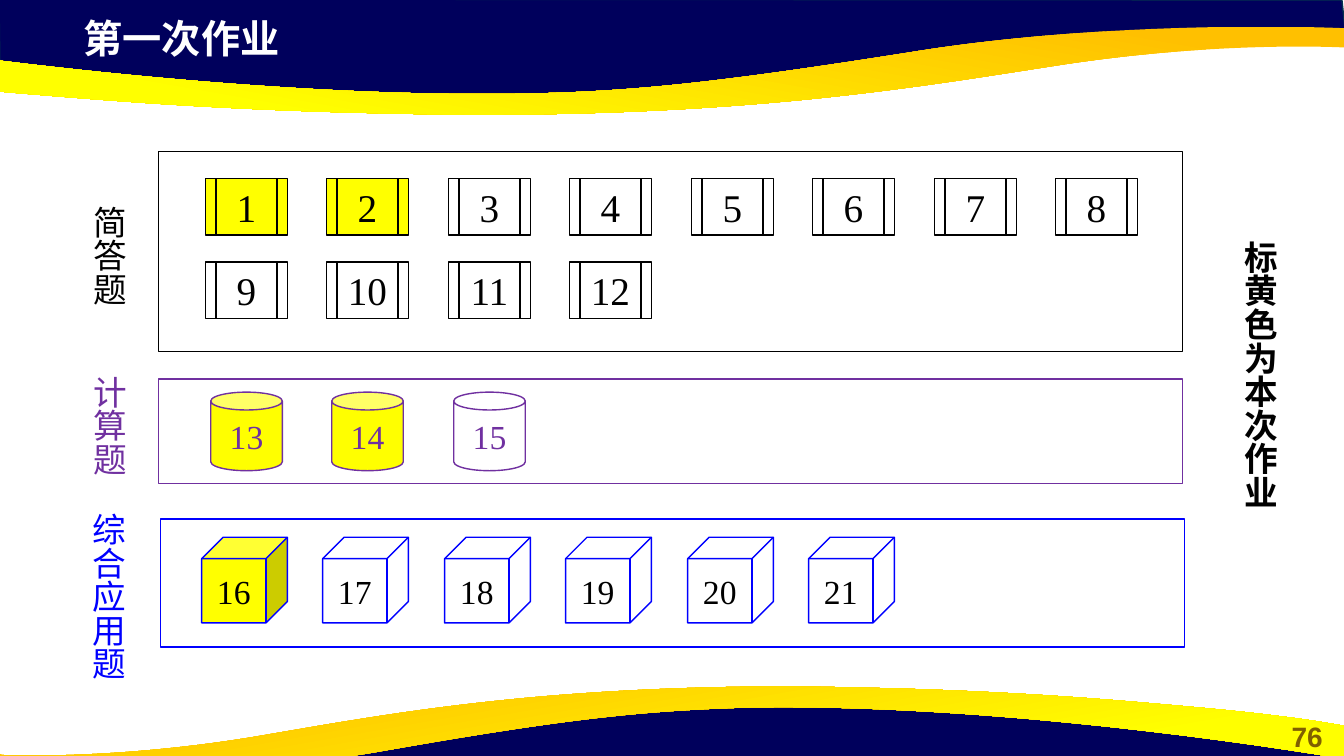
"""Build the homework overview slide with its three groups of numbered questions."""
from lxml.etree import SubElement
from pptx import Presentation
from pptx.dml.color import RGBColor
from pptx.enum.shapes import MSO_SHAPE as Shape
from pptx.enum.text import MSO_ANCHOR as Anchor, MSO_AUTO_SIZE as AutoSize, PP_ALIGN as Align
from pptx.oxml.ns import qn
from pptx.util import Pt

PX = 9144
WIDTH, HEIGHT = 1333, 750
NAVY = RGBColor(0x00, 0x00, 0x5C)
NAVY_EDGE = RGBColor(0x05, 0x30, 0x4F)
GOLD = RGBColor(0xFF, 0xC0, 0x00)
YELLOW = RGBColor(0xFF, 0xFF, 0x00)
OLIVE = RGBColor(0x80, 0x60, 0x00)
WHITE = RGBColor(0xFF, 0xFF, 0xFF)
BLACK = RGBColor(0x00, 0x00, 0x00)
PURPLE = RGBColor(0x70, 0x30, 0xA0)
BLUE = RGBColor(0x00, 0x00, 0xFF)
SANS, SERIF, CHINESE = "Arial", "Times New Roman", "Noto Sans CJK SC"

TOP_NAVY = [[(-1, -1)], [(0, 70)], [(293, 102)], [(559, 100)], [(795, 88)], [(1016, 50)],
            [(1238, 33)], [(1335, 38)], [(1331, 0)], [(-1, -1)]]
BOTTOM_NAVY = [[(1333, 794)], [(1332, 724)], [(1040, 691)], [(773, 693)], [(538, 706)],
               [(317, 743)], [(95, 760)], [(-3, 756)], [(1, 793)], [(1333, 794)]]
TOP_GOLD = [[(483, 114)], [(443, 114), (401, 113), (356, 112)], [(206, 108), (110, 100), (36, 94)],
            [(-88, 84), (-130, 75), (-133, 75)], [(-133, 42), (-133, 42), (-133, 42)],
            [(-133, 42), (218, 98), (517, 93)], [(626, 91), (708, 83), (915, 50)],
            [(1121, 18), (1333, 28), (1333, 28)], [(1333, 32)], [(1333, 47)], [(1330, 47)],
            [(1305, 46), (1195, 43), (1055, 64)], [(918, 85), (762, 113), (483, 114)]]
BOTTOM_GOLD = [[(772, 681)], [(809, 681), (847, 682), (888, 683)], [(1025, 687), (1112, 695), (1179, 701)],
               [(1292, 711), (1330, 720), (1333, 720)], [(1333, 753), (1333, 753), (1333, 753)],
               [(1333, 753), (1014, 697), (742, 702)], [(642, 705), (567, 712), (380, 745)],
               [(192, 778), (-1, 768), (-1, 768)], [(-1, 764)], [(-1, 748)], [(2, 749)],
               [(25, 750), (125, 752), (252, 731)], [(376, 710), (519, 682), (772, 681)]]


def write(frame, text, color, size, font, align=Align.LEFT, bold=False):
    """Write one formatted paragraph into a text frame."""
    para = frame.paragraphs[0]
    para.alignment = align
    span = para.add_run()
    span.text = text
    for name, value in {"size": Pt(size), "name": font, "bold": bold}.items():
        setattr(span.font, name, value)
    span.font.color.rgb = color
    SubElement(span.font._element, qn("a:ea")).set("typeface", CHINESE)


def add_outline(page, segments):
    """Add a closed freeform whose three-point segments become cubic curves."""
    ends = [(x * PX, y * PX) for x, y in (segment[-1] for segment in segments)]
    builder = page.shapes.build_freeform(*ends[0])
    builder.add_line_segments(ends[1:], close=True)
    shape = builder.convert_to_shape()
    shape.shadow.inherit = False
    lines = list(shape._element.iter(qn("a:lnTo")))
    for line, segment in zip(lines, segments[1:]):
        if len(segment) == 3:
            line.tag = qn("a:cubicBezTo")
            for index, (x, y) in enumerate(segment[:2]):
                point = SubElement(line, qn("a:pt"))
                point.set("x", str(x * PX - shape.left))
                point.set("y", str(y * PX - shape.top))
                line.insert(index, point)
    return shape


def add_wave(page, navy_outline, gold_outline, angle):
    """Draw a navy band edged by a gold wave."""
    navy = add_outline(page, navy_outline)
    navy.fill.solid()
    navy.fill.fore_color.rgb = NAVY
    navy.line.color.rgb = NAVY_EDGE
    navy.line.width = Pt(1)
    gold = add_outline(page, gold_outline)
    gold.line.fill.background()
    gold.fill.gradient()
    gold.fill.gradient_angle = angle
    for stop, color, position in zip(gold.fill.gradient_stops, (GOLD, YELLOW), (0.11, 0.78)):
        stop.color.rgb = color
        stop.position = position


def add_heading(page, box):
    """Place the slide title above the wave."""
    title = page.shapes.title
    page.shapes._spTree.append(title._element)
    for name, value in zip(("left", "top", "width", "height"), box):
        setattr(title, name, value * PX)
    for name, value in {"vertical_anchor": Anchor.TOP, "auto_size": AutoSize.NONE,
                        "word_wrap": True}.items():
        setattr(title.text_frame, name, value)
    write(title.text_frame, "第一次作业", WHITE, 28, SANS, bold=True)


def add_page_number(page, box):
    """Place the page number in the lower corner."""
    frame = page.shapes.add_textbox(*(value * PX for value in box)).text_frame
    frame.word_wrap = True
    write(frame, "76", OLIVE, 20, SANS, Align.CENTER, True)


def add_vertical_text(page, box, text, color, bold=False):
    """Add a label that reads from top to bottom."""
    frame = page.shapes.add_textbox(*(value * PX for value in box)).text_frame
    frame.word_wrap = False
    frame._txBody.bodyPr.set("vert", "eaVert")
    write(frame, text, color, 24, CHINESE, bold=bold)


def add_block(page, box, kind, fill, color):
    """Add an outlined preset shape, filled only when a fill is given."""
    shape = page.shapes.add_shape(kind, *(value * PX for value in box))
    shape.shadow.inherit = False
    if fill is None:
        shape.fill.background()
    else:
        shape.fill.solid()
        shape.fill.fore_color.rgb = fill
    shape.line.color.rgb = color
    shape.line.width = Pt(1)
    return shape


def add_group(page, box, label, label_box, color, kind, item_box, numbers, assigned,
              text_color, size):
    """Draw a framed group of numbered questions, marking the assigned ones yellow."""
    left, top, _, _ = box
    label_x, label_y, label_width, label_height = label_box
    item_x, item_y, item_width, item_height = item_box
    add_block(page, box, Shape.RECTANGLE, None, color)
    add_vertical_text(page, (left + label_x, top + label_y, label_width, label_height), label, color)
    for index, number in enumerate(numbers):
        row, column = divmod(index, 8)
        place = (left + item_x + column * 241 // 2, top + item_y + row * 83, item_width, item_height)
        item = add_block(page, place, kind, YELLOW if index < assigned else None, color)
        item.text_frame.vertical_anchor = Anchor.MIDDLE
        write(item.text_frame, str(number), text_color, size, SERIF, Align.CENTER)


def main():
    """Assemble and save the deck."""
    deck = Presentation()
    deck.slide_width, deck.slide_height = WIDTH * PX, HEIGHT * PX
    page = deck.slides.add_slide(deck.slide_layouts[5])
    add_wave(page, TOP_NAVY, TOP_GOLD, 260)
    add_wave(page, BOTTOM_NAVY, BOTTOM_GOLD, 280)
    add_page_number(page, (1260, 709, 73, 44))
    add_heading(page, (73, 9, 768, 57))
    add_group(page, (157, 150, 1016, 199), "简答题", (-85, 44, 61, 111), BLACK,
              Shape.FLOWCHART_PREDEFINED_PROCESS, (47, 27, 81, 56), range(1, 13), 2, BLACK, 28)
    add_group(page, (157, 376, 1016, 104), "计算题", (-85, -13, 61, 111), PURPLE,
              Shape.CAN, (52, 13, 71, 78), range(13, 16), 2, PURPLE, 24)
    add_group(page, (159, 515, 1016, 127), "综合应用题", (-88, -16, 61, 178), BLUE,
              Shape.CUBE, (41, 18, 85, 85), range(16, 22), 1, BLACK, 24)
    add_vertical_text(page, (1214, 229, 61, 279), "标黄色为本次作业", BLACK, True)
    deck.save("out.pptx")


if __name__ == "__main__":
    main()
